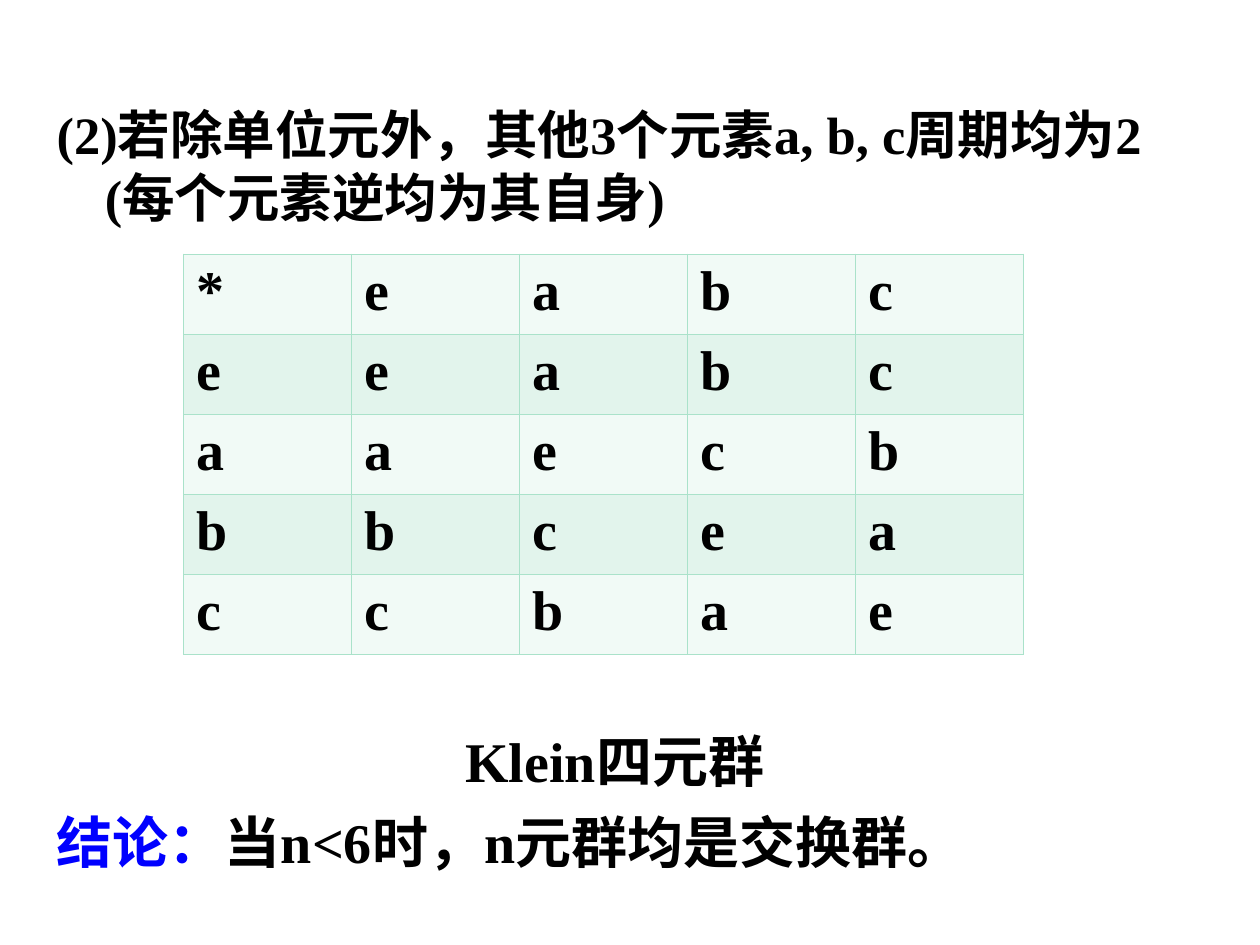
from lxml.etree import SubElement
from pptx import Presentation
from pptx.dml.color import RGBColor
from pptx.enum.lang import MSO_LANGUAGE_ID
from pptx.enum.text import MSO_ANCHOR, MSO_AUTO_SIZE, PP_ALIGN
from pptx.oxml import parse_xml
from pptx.oxml.ns import nsdecls, qn
from pptx.util import Pt

BLACK = RGBColor(0x00, 0x00, 0x00)
BLUE = RGBColor(0x00, 0x00, 0xFF)
BORDER = RGBColor(0xAA, 0xE2, 0xCA)
BANDS = (RGBColor(0xF1, 0xFA, 0xF6), RGBColor(0xE2, 0xF4, 0xEC))

PRODUCTS = ("*eabc", "eeabc", "aaecb", "bbcea", "ccbae")


def add_text(para, text, size=32, color=BLACK, bold=True, name="Times New Roman"):
    """Append formatted text to a paragraph."""
    span = para.add_run()
    span.text = text
    font = span.font
    font.size, font.bold, font.name = Pt(size), bold, name
    font.color.rgb = color
    font.language_id = MSO_LANGUAGE_ID.SIMPLIFIED_CHINESE


class SlideBuilder:
    border_width = 0.45
    indent = 27.5

    def __init__(self, deck):
        self.page = deck.slides.add_slide(deck.slide_layouts[1])
        title = self.page.shapes.title
        title.element.getparent().remove(title.element)

    def body(self, left, top, width, height):
        box = self.page.placeholders[1]
        box.left, box.top, box.width, box.height = map(Pt, (left, top, width, height))
        frame = box.text_frame
        frame.word_wrap = True
        frame.auto_size = MSO_AUTO_SIZE.NONE
        frame.vertical_anchor = MSO_ANCHOR.TOP
        return frame

    def paragraph(self, para, *spans, before=0, align=PP_ALIGN.LEFT):
        """Fill a hanging paragraph from (text, format) pairs."""
        properties = para._p.get_or_add_pPr()
        properties.set("marL", str(Pt(self.indent)))
        properties.set("indent", str(-Pt(self.indent)))
        SubElement(properties, qn("a:buNone"))
        para.space_before = Pt(before)
        para.alignment = align
        for text, style in spans:
            add_text(para, text, **style)

    def table(self, rows, left, top, width, height):
        count = len(rows[0])
        frame = self.page.shapes.add_table(
            len(rows), count, Pt(left), Pt(top), Pt(width), Pt(height))
        for row_index, row in enumerate(rows):
            for column_index, text in enumerate(row):
                cell = frame.table.cell(row_index, column_index)
                cell.fill.solid()
                cell.fill.fore_color.rgb = BANDS[row_index % 2]
                self.borders(cell)
                add_text(cell.text_frame.paragraphs[0], text)

    def borders(self, cell):
        properties = cell._tc.get_or_add_tcPr()
        for index, side in enumerate("LRTB"):
            properties.insert(index, parse_xml(
                f'<a:ln{side} {nsdecls("a")} w="{Pt(self.border_width)}"><a:solidFill>'
                f'<a:srgbClr val="{BORDER}"/></a:solidFill></a:ln{side}>'))


def main():
    deck = Presentation()
    deck.slide_width, deck.slide_height = Pt(720), Pt(540)
    builder = SlideBuilder(deck)

    # Statement, group name and conclusion
    frame = builder.body(25.2, 54.7, 652.3, 465)
    builder.paragraph(
        frame.paragraphs[0],
        ("(2)若除单位元外，其他3个元素a, b, c周期均为2 (每个元素逆均为其自身)", {"size": 30}))
    # The space above the group name leaves room for the table
    builder.paragraph(frame.add_paragraph(), ("Klein四元群", {}),
                      before=285, align=PP_ALIGN.CENTER)
    builder.paragraph(frame.add_paragraph(), ("结论：", {"color": BLUE}),
                      ("当n<6时，n元群均是交换群。", {}), before=8)

    # Multiplication table of the group
    builder.table(PRODUCTS, 105, 145.2, 480, 228.6)

    deck.save("out.pptx")


if __name__ == "__main__":
    main()
